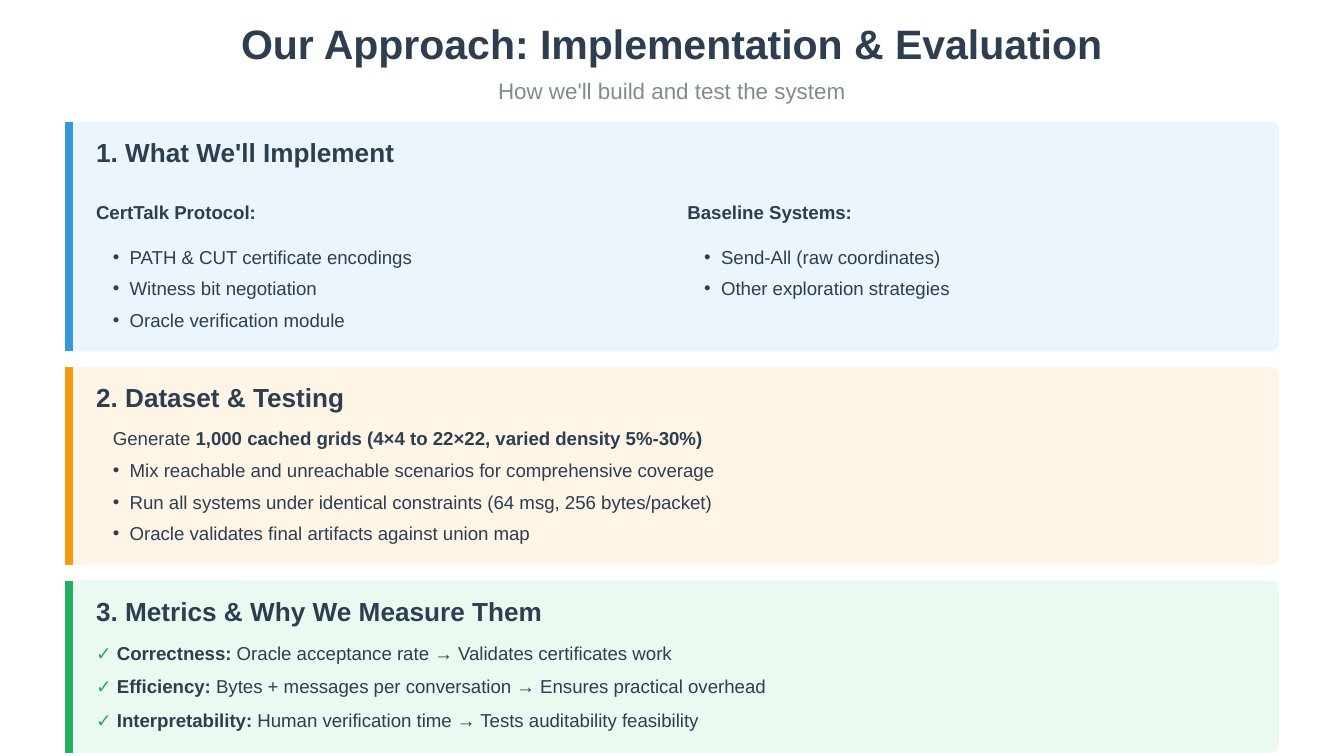
import dataclasses

import pptx
import pptx.dml.color
import pptx.enum.shapes
import pptx.enum.text
import pptx.oxml
import pptx.oxml.ns
import pptx.util

PX = 4572  # EMU per px, 200 px to the inch
SLIDE_WIDTH, SLIDE_HEIGHT = 2000, 1125
PANEL_LEFT, PANEL_WIDTH = 97, 1806
CORNER_DIAMETER = 22
TEXT_LEFT, TEXT_WIDTH = 143, 1760
COLUMN_LEFTS, COLUMN_WIDTH = (TEXT_LEFT, 1023), 864
INDENT = 25
LINE_HEIGHT = 38


@dataclasses.dataclass(frozen=True)
class Theme:
    font: str = "Arial"
    ink: str = "2C3E50"
    muted: str = "7F8C8D"
    blue: str = "3498DB"
    blue_fill: str = "EBF5FB"
    orange: str = "F39C12"
    orange_fill: str = "FEF5E7"
    green: str = "27AE60"
    green_fill: str = "EAFAF1"
    title_size: int = 22
    subtitle_size: int = 12
    heading_size: int = 14
    body_size: int = 10
    line_spacing: int = 14
    bar_width: float = 4.5


THEME = Theme()


def px(length):
    return pptx.util.Emu(length * PX)


def rgb(color):
    return pptx.dml.color.RGBColor.from_string(color)


def drawing_element(tag, attributes=""):
    return pptx.oxml.parse_xml(
        f'<a:{tag} {pptx.oxml.ns.nsdecls("a")} {attributes}/>')


def add_text_frame(slide, left, top, width, height, inset=0):
    box = slide.shapes.add_textbox(px(left), px(top), px(width), px(height))
    frame = box.text_frame
    frame.word_wrap = True
    frame.margin_left = px(inset)
    frame.margin_top = frame.margin_right = frame.margin_bottom = 0
    return frame


def add_run(paragraph, text, size, color=THEME.ink, bold=False):
    run = paragraph.add_run()
    run.text = text
    run.font.name = THEME.font
    run.font.size = pptx.util.Pt(size)
    run.font.bold = bold
    run.font.color.rgb = rgb(color)


def add_label(slide, text, box, size, color=THEME.ink, bold=True, centered=False):
    paragraph = add_text_frame(slide, *box).paragraphs[0]
    if centered:
        paragraph.alignment = pptx.enum.text.PP_ALIGN.CENTER
    add_run(paragraph, text, size, color, bold)
    return paragraph


def add_panel(slide, heading, top, height, color, fill):
    """Rounded panel with a coloured bar on its left edge and a heading."""
    panel = slide.shapes.add_shape(
        pptx.enum.shapes.MSO_SHAPE.ROUNDED_RECTANGLE,
        px(PANEL_LEFT), px(top), px(PANEL_WIDTH), px(height))
    panel.adjustments[0] = CORNER_DIAMETER / 2 / height
    panel.shadow.inherit = False
    panel.fill.solid()
    panel.fill.fore_color.rgb = rgb(fill)
    panel.line.fill.background()

    bar_x = px(PANEL_LEFT + 6)
    bar = slide.shapes.add_connector(
        pptx.enum.shapes.MSO_CONNECTOR.STRAIGHT, bar_x, px(top), bar_x, px(top + height))
    bar.line.color.rgb = rgb(color)
    bar.line.width = pptx.util.Pt(THEME.bar_width)
    bar.element.spPr.append(drawing_element("effectLst"))

    add_label(slide, heading, (TEXT_LEFT, top + 22, TEXT_WIDTH, 46), THEME.heading_size)


def add_list(slide, items, left, top, width, lead=None):
    """Bulleted items, after an optional unbulleted lead of (text, bold text)."""
    rows = ([(False, lead)] if lead else []) + [(True, (item,)) for item in items]
    frame = add_text_frame(slide, left, top, width, 48 * len(rows) - 10, INDENT)
    for index, (bulleted, parts) in enumerate(rows):
        paragraph = frame.paragraphs[0] if index == 0 else frame.add_paragraph()
        properties = paragraph._p.get_or_add_pPr()
        properties.set("marL", str(px(INDENT)))
        properties.set("indent", str(-px(INDENT)))
        if bulleted:
            properties.append(drawing_element("buSzPct", 'val="100000"'))
            properties.append(drawing_element("buFont", f'typeface="{THEME.font}"'))
            properties.append(drawing_element("buChar", 'char="•"'))
        paragraph.line_spacing = pptx.util.Pt(THEME.line_spacing)
        paragraph.space_after = pptx.util.Pt(3)
        for part_index, text in enumerate(parts):
            add_run(paragraph, text, THEME.body_size, bold=part_index > 0)


def add_column(slide, left, top, heading, items):
    paragraph = add_label(
        slide, heading, (left, top, COLUMN_WIDTH, LINE_HEIGHT), THEME.body_size)
    paragraph.line_spacing = pptx.util.Pt(THEME.line_spacing)
    add_list(slide, items, left, top + 66, COLUMN_WIDTH - 18)


def add_metric(slide, top, name, description):
    paragraph = add_label(
        slide, "✓ ", (TEXT_LEFT, top, TEXT_WIDTH, LINE_HEIGHT), THEME.body_size, THEME.green)
    paragraph.line_spacing = pptx.util.Pt(THEME.line_spacing)
    add_run(paragraph, f"{name}:", THEME.body_size, bold=True)
    add_run(paragraph, f" {description}", THEME.body_size)


def main():
    presentation = pptx.Presentation()
    presentation.slide_width = px(SLIDE_WIDTH)
    presentation.slide_height = px(SLIDE_HEIGHT)
    slide = presentation.slides.add_slide(presentation.slide_layouts[6])

    # Title and subtitle
    add_label(slide, "Our Approach: Implementation & Evaluation",
              (-20, 28, 2040, 70), THEME.title_size, centered=True)
    add_label(slide, "How we'll build and test the system", (-20, 115, 2040, 38),
              THEME.subtitle_size, THEME.muted, bold=False, centered=True)

    # Implementation: two columns
    add_panel(slide, "1. What We'll Implement", 181, 342, THEME.blue, THEME.blue_fill)
    columns = (
        ("CertTalk Protocol:", ("PATH & CUT certificate encodings",
                                "Witness bit negotiation",
                                "Oracle verification module")),
        ("Baseline Systems:", ("Send-All (raw coordinates)",
                               "Other exploration strategies")),
    )
    for left, (heading, items) in zip(COLUMN_LEFTS, columns):
        add_column(slide, left, 294, heading, items)

    # Dataset and testing
    add_panel(slide, "2. Dataset & Testing", 546, 295, THEME.orange, THEME.orange_fill)
    add_list(slide, (
        "Mix reachable and unreachable scenarios for comprehensive coverage",
        "Run all systems under identical constraints (64 msg, 256 bytes/packet)",
        "Oracle validates final artifacts against union map",
    ), TEXT_LEFT, 630, 1726,
        lead=("Generate ", "1,000 cached grids (4×4 to 22×22, varied density 5%-30%)"))

    # Metrics
    add_panel(slide, "3. Metrics & Why We Measure Them", 864, 257,
              THEME.green, THEME.green_fill)
    metrics = (
        ("Correctness", "Oracle acceptance rate → Validates certificates work"),
        ("Efficiency", "Bytes + messages per conversation → Ensures practical overhead"),
        ("Interpretability", "Human verification time → Tests auditability feasibility"),
    )
    for index, (name, description) in enumerate(metrics):
        add_metric(slide, 949 + 50 * index, name, description)

    presentation.save("out.pptx")


if __name__ == "__main__":
    main()
